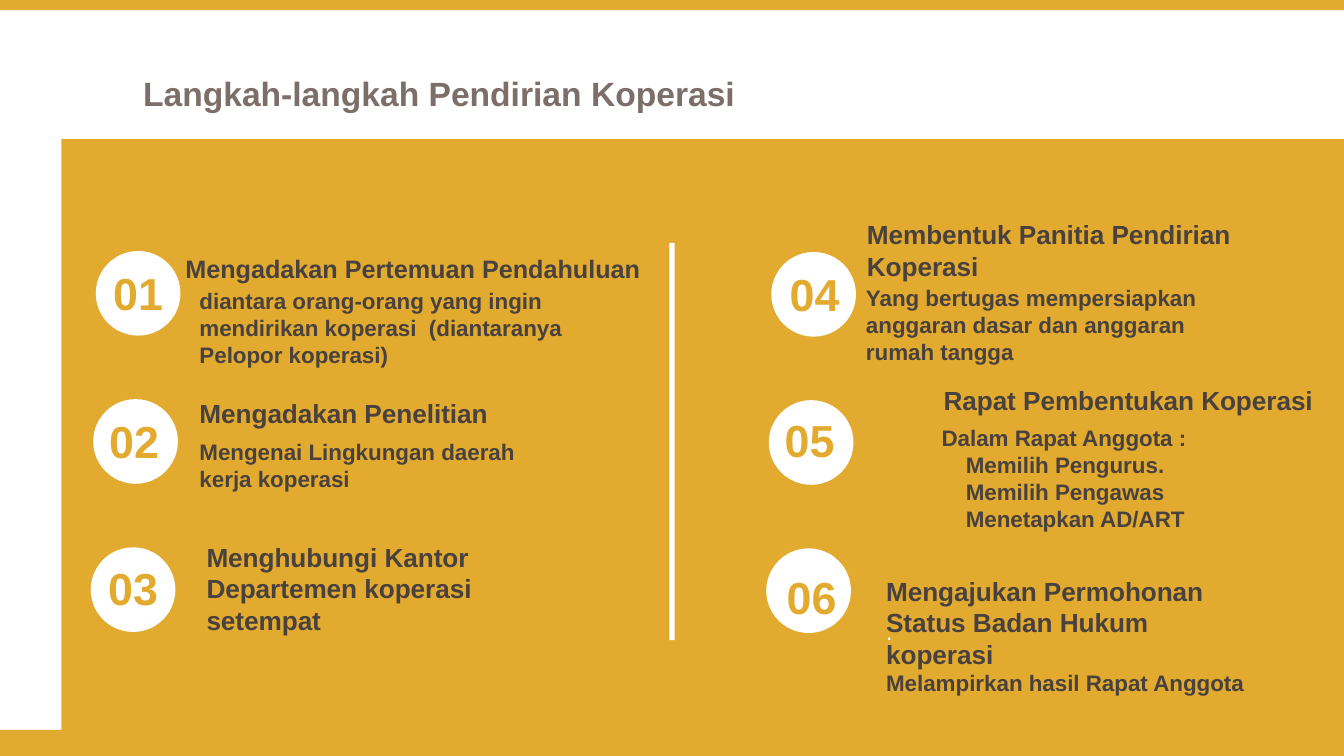
from dataclasses import dataclass

from pptx import Presentation
from pptx.dml.color import RGBColor
from pptx.enum.shapes import MSO_SHAPE
from pptx.enum.text import MSO_ANCHOR, PP_ALIGN
from pptx.slide import Slide
from pptx.text.text import TextFrame
from pptx.util import Inches, Pt

RECT = MSO_SHAPE.RECTANGLE
OVAL = MSO_SHAPE.OVAL
LEFT = PP_ALIGN.LEFT
CENTER = PP_ALIGN.CENTER
MIDDLE = MSO_ANCHOR.MIDDLE

GOLD = RGBColor(0xE2, 0xAB, 0x30)
WHITE = RGBColor(0xFF, 0xFF, 0xFF)
DARK = RGBColor(0x49, 0x41, 0x3E)
TAUPE = RGBColor(0x7C, 0x6E, 0x69)

FONT = "Arial"
HEAD = 18.67
BODY = 16
WIDE = 3.88
DISC = 0.84
PITCH = 1.47


@dataclass
class Box:
    left: float
    top: float
    width: float
    height: float


@dataclass
class Line:
    text: str
    size: float = BODY
    color: RGBColor = DARK
    bold: bool = True
    indent: float = 0
    align: PP_ALIGN = LEFT


@dataclass
class Note:
    box: Box
    lines: list[Line]


@dataclass
class Badge:
    left: float
    top: float


BARS = [
    (Box(0, 7.24, 13.33, 0.26), GOLD),
    (Box(0, 0, 13.33, 0.1), GOLD),
    (Box(0.61, 1.38, 12.72, 6.12), GOLD),
    (Box(6.64, 2.41, 0.05, 3.94), WHITE),
]

BADGES = [
    Badge(0.9, 2.59),
    Badge(0.86, 4.06),
    Badge(0.85, 5.51),
    Badge(7.61, 2.6),
    Badge(7.56, 4.05),
    Badge(7.58, 5.6),
]

NOTES = [
    Note(Box(1.74, 2.46, 4.92, 0.4),
         [Line("Mengadakan Pertemuan Pendahuluan", 18)]),
    Note(Box(1.88, 2.8, WIDE, 0.91),
         [Line("diantara orang-orang yang ingin mendirikan koperasi  "
               "(diantaranya Pelopor koperasi)")]),
    Note(Box(1.88, 3.89, WIDE, 0.42), [Line("Mengadakan Penelitian", HEAD)]),
    Note(Box(1.88, 4.3, WIDE, 0.64),
         [Line("Mengenai Lingkungan daerah kerja koperasi")]),
    Note(Box(1.95, 5.32, WIDE, 1.04),
         [Line("Menghubungi Kantor Departemen koperasi setempat", HEAD)]),
    Note(Box(8.5, 2.12, WIDE, 0.73),
         [Line("Membentuk Panitia Pendirian Koperasi", HEAD)]),
    Note(Box(8.49, 2.77, WIDE, 0.91),
         [Line("Yang bertugas mempersiapkan anggaran dasar dan anggaran "
               "rumah tangga")]),
    Note(Box(9.26, 3.76, 4.05, 0.42),
         [Line("Rapat Pembentukan Koperasi", HEAD)]),
    Note(Box(8.74, 4.16, WIDE, 1.18),
         [Line("Dalam Rapat Anggota :", indent=0.5),
          Line("Memilih Pengurus.", indent=0.74),
          Line("Memilih Pengawas", indent=0.74),
          Line("Menetapkan AD/ART", indent=0.74)]),
    Note(Box(8.69, 6.08, WIDE, 0.37), [Line(".", color=WHITE, bold=False)]),
    Note(Box(8.69, 5.66, WIDE, 1.31),
         [Line("Mengajukan Permohonan Status Badan Hukum koperasi", HEAD),
          Line("Melampirkan hasil Rapat Anggota")]),
]

TITLE = Note(Box(1.15, 0.68, 6.41, 0.43),
             [Line("Langkah-langkah Pendirian Koperasi", 24, TAUPE,
                   align=CENTER)])


def place(box: Box) -> list[int]:
    return [Inches(n) for n in (box.left, box.top, box.width, box.height)]


def draw_shape(slide: Slide, kind: MSO_SHAPE, box: Box,
               color: RGBColor) -> None:
    shape = slide.shapes.add_shape(kind, *place(box))
    shape.shadow.inherit = False
    shape.fill.solid()
    shape.fill.fore_color.rgb = color
    shape.line.fill.background()


def draw_note(slide: Slide, note: Note) -> TextFrame:
    frame = slide.shapes.add_textbox(*place(note.box)).text_frame
    frame.word_wrap = True
    frame.text = "\n".join(line.text for line in note.lines)
    for para, line in zip(frame.paragraphs, note.lines):
        para.alignment = line.align
        if line.indent:
            props = para._p.get_or_add_pPr()
            props.set("marL", str(Inches(line.indent)))
            props.set("indent", "0")
        font = para.runs[0].font
        font.name = FONT
        font.size = Pt(line.size)
        font.bold = line.bold
        font.color.rgb = line.color
    return frame


def draw_title(slide: Slide) -> None:
    frame = draw_note(slide, TITLE)
    frame.vertical_anchor = MIDDLE
    frame.margin_left = frame.margin_right = 0
    frame.margin_top = frame.margin_bottom = 0
    frame.paragraphs[0].line_spacing = 1.15


def draw_badge(slide: Slide, index: int, badge: Badge) -> None:
    col, row = divmod(index, 3)
    left = 0.95 + 6.7 * col - 0.025 * row
    top = 2.49 + 0.01 * col + PITCH * row
    draw_shape(slide, OVAL, Box(left, top, DISC, DISC), WHITE)
    label = Line(f"{index + 1:02}", 32, GOLD, align=CENTER)
    draw_note(slide, Note(Box(badge.left, badge.top, 0.94, 0.64), [label]))


def main() -> None:
    deck = Presentation()
    deck.slide_width = Inches(13.33)
    deck.slide_height = Inches(7.5)
    slide = deck.slides.add_slide(deck.slide_layouts[6])
    for box, color in BARS:
        draw_shape(slide, RECT, box, color)
    for index, badge in enumerate(BADGES):
        draw_badge(slide, index, badge)
    for note in NOTES:
        draw_note(slide, note)
    draw_title(slide)
    deck.save("out.pptx")


if __name__ == "__main__":
    main()
